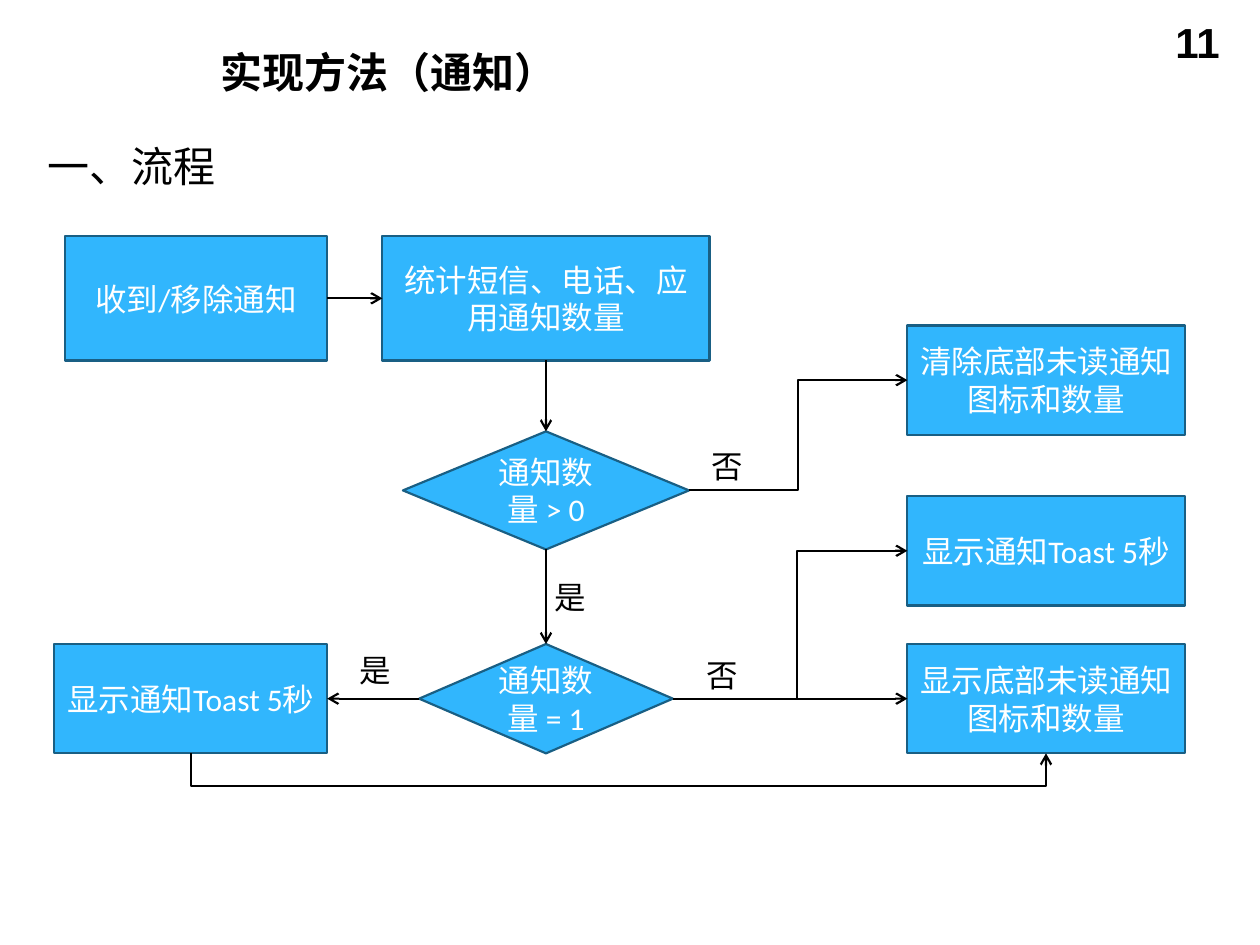
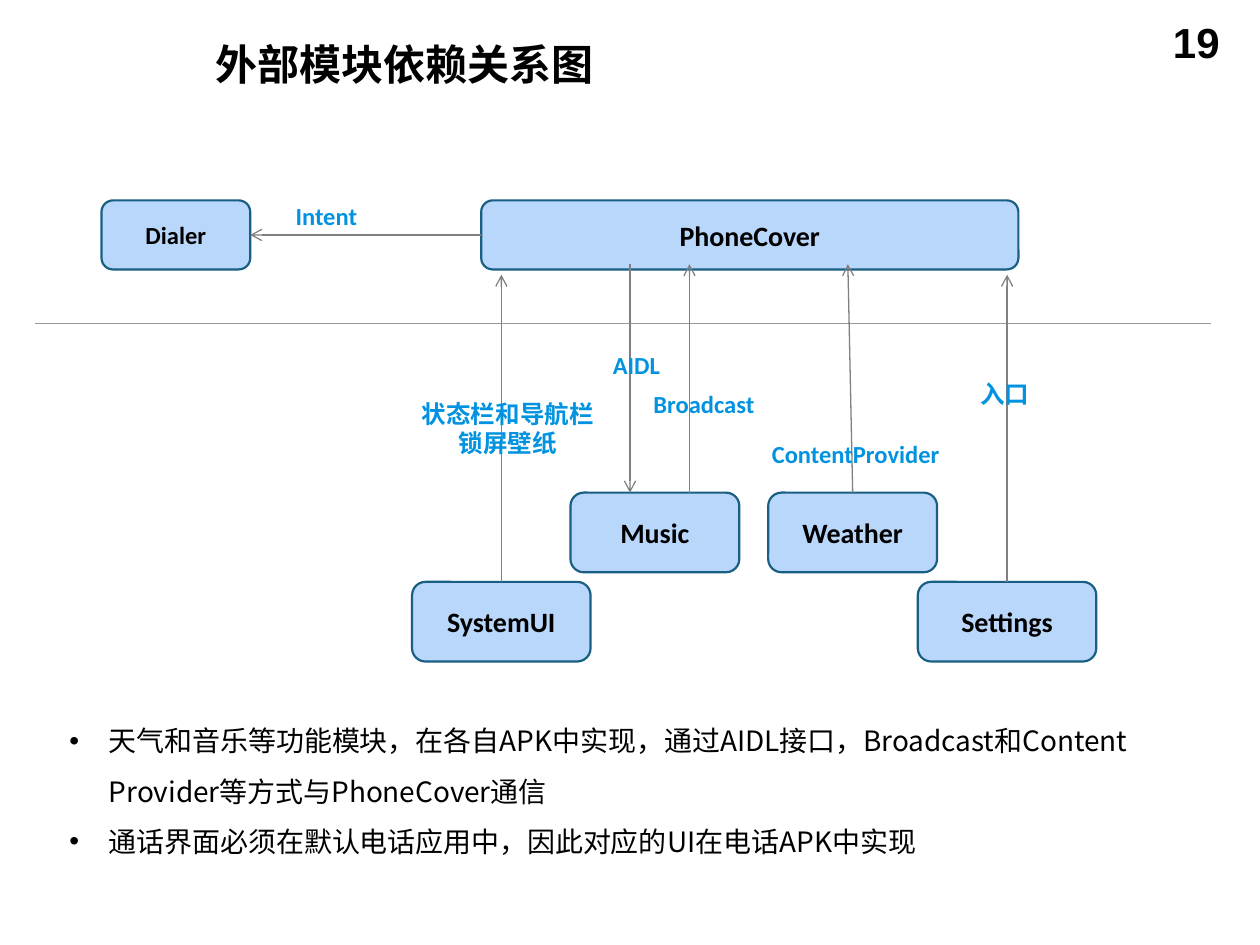
import pptx
import pptx.dml.color
import pptx.enum.shapes
import pptx.enum.text
import pptx.oxml
import pptx.oxml.ns
import pptx.util

Pt = pptx.util.Pt
RGBColor = pptx.dml.color.RGBColor
SHAPE = pptx.enum.shapes.MSO_SHAPE
LINE = pptx.enum.shapes.MSO_CONNECTOR
ALIGN = pptx.enum.text.PP_ALIGN
ANCHOR = pptx.enum.text.MSO_ANCHOR
AUTO_SIZE = pptx.enum.text.MSO_AUTO_SIZE

BLACK = RGBColor(0x00, 0x00, 0x00)
WHITE = RGBColor(0xFF, 0xFF, 0xFF)
STEP_BLUE = RGBColor(0x31, 0xB6, 0xFD)
MODULE_BLUE = RGBColor(0xB9, 0xD6, 0xFB)
OUTLINE = RGBColor(0x19, 0x5F, 0x84)
LABEL_BLUE = RGBColor(0x02, 0x93, 0xE0)
ARROW_GRAY = RGBColor(0x80, 0x80, 0x80)
RULE_GRAY = RGBColor(0x99, 0x99, 0x99)

LATIN = "Calibri"
CHINESE = "Noto Sans CJK SC"
TOP, LEFT, BOTTOM, RIGHT = range(4)


def add_xml(parent, tag, **attributes):
    """Append an empty drawing element to parent."""
    child = pptx.oxml.parse_xml(f"<a:{tag} {pptx.oxml.ns.nsdecls('a')}/>")
    for name, value in attributes.items():
        child.set(name, str(value))
    parent.append(child)


def write(para, text, size, color, bold=False, font=LATIN, align=ALIGN.LEFT):
    para.alignment = align
    for index, line in enumerate(text.split("\n")):
        if index:
            para.add_line_break()
        span = para.add_run()
        span.text = line
        span.font.name = font
        span.font.size = Pt(size)
        span.font.bold = bold
        span.font.color.rgb = color
        add_xml(span.font._element, "ea", typeface=CHINESE)


def place(shape, box):
    shape.left, shape.top, shape.width, shape.height = map(Pt, box)


def add_text(page, box, text, size, color=BLACK, wrap=True, **style):
    shape = page.shapes.add_textbox(*map(Pt, box))
    shape.text_frame.word_wrap = wrap
    write(shape.text_frame.paragraphs[0], text, size, color, **style)


def add_node(page, kind, box, text, fill, size, color, bold=False):
    node = page.shapes.add_shape(kind, *map(Pt, box))
    node.shadow.inherit = False
    node.fill.solid()
    node.fill.fore_color.rgb = fill
    node.line.color.rgb = OUTLINE
    node.line.width = Pt(1.25)
    frame = node.text_frame
    frame.word_wrap = True
    frame.vertical_anchor = ANCHOR.MIDDLE
    write(frame.paragraphs[0], text, size, color, bold, align=ALIGN.CENTER)
    return node


def style_line(line, color, width, arrow=True):
    line.line.color.rgb = color
    line.line.width = Pt(width)
    if arrow:
        add_xml(line.line._get_or_add_ln(), "tailEnd", type="arrow")
    add_xml(line._element.spPr, "effectLst")


def add_line(page, start, end, color, width, kind=LINE.STRAIGHT, arrow=True):
    """Draw a line; each end is an (x, y) point or a (node, side) pair."""
    is_point = [isinstance(tip[0], (int, float)) for tip in (start, end)]
    corners = [Pt(value) for tip, point in zip((start, end), is_point)
               for value in (tip if point else (0, 0))]
    line = page.shapes.add_connector(kind, *corners)
    if not is_point[0]:
        line.begin_connect(*start)
    if not is_point[1]:
        line.end_connect(*end)
    style_line(line, color, width, arrow)
    return line


def add_page(deck, layout, title_box, title, number):
    page = deck.slides.add_slide(deck.slide_layouts[layout])
    place(page.shapes.title, title_box)
    frame = page.shapes.title.text_frame
    frame.auto_size = AUTO_SIZE.NONE
    frame.vertical_anchor = ANCHOR.MIDDLE
    write(frame.paragraphs[0], title, 24, BLACK, bold=True)
    add_text(page, (536, 6, 168, 37), number, 24,
             bold=True, font="Arial", align=ALIGN.RIGHT)
    return page


def add_flowchart(page, box):
    """Draw the notification flow; positions are relative to box."""
    left, top, width, height = box
    middle = left + 281
    row_height = 62.5
    result_width = 158.5
    result_left = left + width - result_width
    last_row = top + 233

    def step(step_box, text, kind=SHAPE.RECTANGLE):
        return add_node(page, kind, step_box, text, STEP_BLUE, 18, WHITE)

    def decision(y, w, h, text):
        return step((middle - w / 2, y, w, h), text, SHAPE.DIAMOND)

    def result(y, text):
        return step((result_left, y, result_width, row_height), text)

    def flow(start, end, kind=LINE.STRAIGHT):
        return add_line(page, start, end, BLACK, 1.25, kind)

    received = step((left + 6, top, 150, 71), "收到/移除通知")
    count = step((middle - 93.5, top, 187, 71), "统计短信、电话、应用通知数量")
    toast = step((left, last_row, 156, row_height), "显示通知Toast 5秒")
    any_left = decision(top + 111.5, 163.5, 67.5, "通知数量 > 0")
    just_one = decision(last_row, 145, row_height, "通知数量 = 1")
    clear = result(top + 51, "清除底部未读通知图标和数量")
    other_toast = result(top + 148.5, "显示通知Toast 5秒")
    show = result(last_row, "显示底部未读通知图标和数量")

    flow((received, RIGHT), (count, LEFT))
    flow((count, BOTTOM), (any_left, TOP))
    flow((any_left, BOTTOM), (just_one, TOP))
    flow((just_one, LEFT), (toast, RIGHT))
    flow((just_one, RIGHT), (show, LEFT))
    flow((any_left, RIGHT), (clear, LEFT), LINE.ELBOW)
    branch = flow((just_one, RIGHT), (other_toast, LEFT), LINE.ELBOW)
    add_xml(branch._element.spPr.prstGeom.get_or_add_avLst(),
            "gd", name="adj1", fmla="val 52900")

    toast_x, show_x = left + 78, result_left + result_width / 2
    bottom = last_row + row_height
    outline = page.shapes.build_freeform(Pt(toast_x), Pt(bottom))
    outline.add_line_segments(
        [(Pt(x), Pt(y)) for x, y in ((toast_x, top + height),
                                     (show_x, top + height),
                                     (show_x, bottom))], close=False)
    return_path = outline.convert_to_shape()
    return_path.fill.background()
    style_line(return_path, BLACK, 1.25)

    for x, y, answer in ((279, 191.5, "是"), (368.5, 117, "否"),
                         (365.5, 236.5, "否"), (167.5, 233.5, "是")):
        add_text(page, (left + x, top + y, 34, 29), answer, 18)


def add_module_diagram(page, box):
    """Draw the modules and their links; positions are relative to box."""
    left, top, width, height = box
    upper_row, lower_row = top + 167, top + height - 45.5
    inside_cover, below_cover = top + 36.5, top + 42.5

    def module(x, y, w, h, text, size=16):
        return add_node(page, SHAPE.ROUNDED_RECTANGLE, (left + x, y, w, h),
                        text, MODULE_BLUE, size, BLACK, bold=True)

    def link(start, end):
        add_line(page, start, end, ARROW_GRAY, 0.75)

    dialer = module(38, top, 85, 39.5, "Dialer", 14)
    cover = module(255, top, 307, 39.5, "PhoneCover")
    module(306, upper_row, 96.5, 45.5, "Music")
    weather = module(419, upper_row, 96.5, 45.5, "Weather")
    system = module(215.5, lower_row, 102, 45.5, "SystemUI")
    settings = module(504.5, lower_row, 102, 45.5, "Settings")

    rule_y = top + 70.5
    add_line(page, (left, rule_y), (left + width, rule_y),
             RULE_GRAY, 0.75, arrow=False)
    link((cover, LEFT), (dialer, RIGHT))
    link((system, TOP), (left + 266.5, below_cover))
    link((settings, TOP), (left + 555.5, below_cover))
    link((weather, TOP), (left + 464.5, inside_cover))
    link((left + 340, inside_cover), (left + 340, upper_row))
    link((left + 374, upper_row), (left + 374, inside_cover))

    for x, y, w, text in (
            (141.5, -3, 50, "Intent"),
            (323, 82, 41.5, "AIDL"),
            (346, 104.5, 72.5, "Broadcast"),
            (413.5, 133, 111, "ContentProvider"),
            (213.5, 110, 113.5, "状态栏和导航栏\n锁屏壁纸"),
            (533, 98.5, 42.5, "入口")):
        add_text(page, (left + x, top + y, w, 24.5), text, 14, LABEL_BLUE,
                 wrap=False, bold=True, align=ALIGN.CENTER)


def add_bullets(body, box, items):
    place(body, box)
    frame = body.text_frame
    frame.auto_size = AUTO_SIZE.NONE
    for index, item in enumerate(items):
        para = frame.add_paragraph() if index else frame.paragraphs[0]
        write(para, item, 16, BLACK, font=CHINESE)
        para.line_spacing = 1.5
        para.space_before = Pt(0)
        properties = para._p.get_or_add_pPr()
        properties.set("marL", str(Pt(58.5)))
        properties.set("indent", str(Pt(-22.5)))
        add_xml(properties, "buFont", typeface="Arial")
        add_xml(properties, "buChar", char="•")


def build_flow_page(deck):
    page = add_page(deck, 5, (119, 21.5, 565, 39), "实现方法（通知）", "11")
    add_text(page, (20, 77, 152, 36), "一、流程", 24)
    add_flowchart(page, (31, 135, 646, 314))


def build_module_page(deck):
    page = add_page(deck, 1, (116, 18.5, 592, 36), "外部模块依赖关系图", "19")
    add_module_diagram(page, (20, 114.5, 672, 263.5))
    add_bullets(page.placeholders[1], (-3.5, 400.5, 711, 94.5), (
        "天气和音乐等功能模块，在各自APK中实现，通过AIDL接口，"
        "Broadcast和Content Provider等方式与PhoneCover通信",
        "通话界面必须在默认电话应用中，因此对应的UI在电话APK中实现"))


def main():
    deck = pptx.Presentation()
    deck.slide_width, deck.slide_height = Pt(720), Pt(540)
    build_flow_page(deck)
    build_module_page(deck)
    deck.save("out.pptx")


if __name__ == "__main__":
    main()
